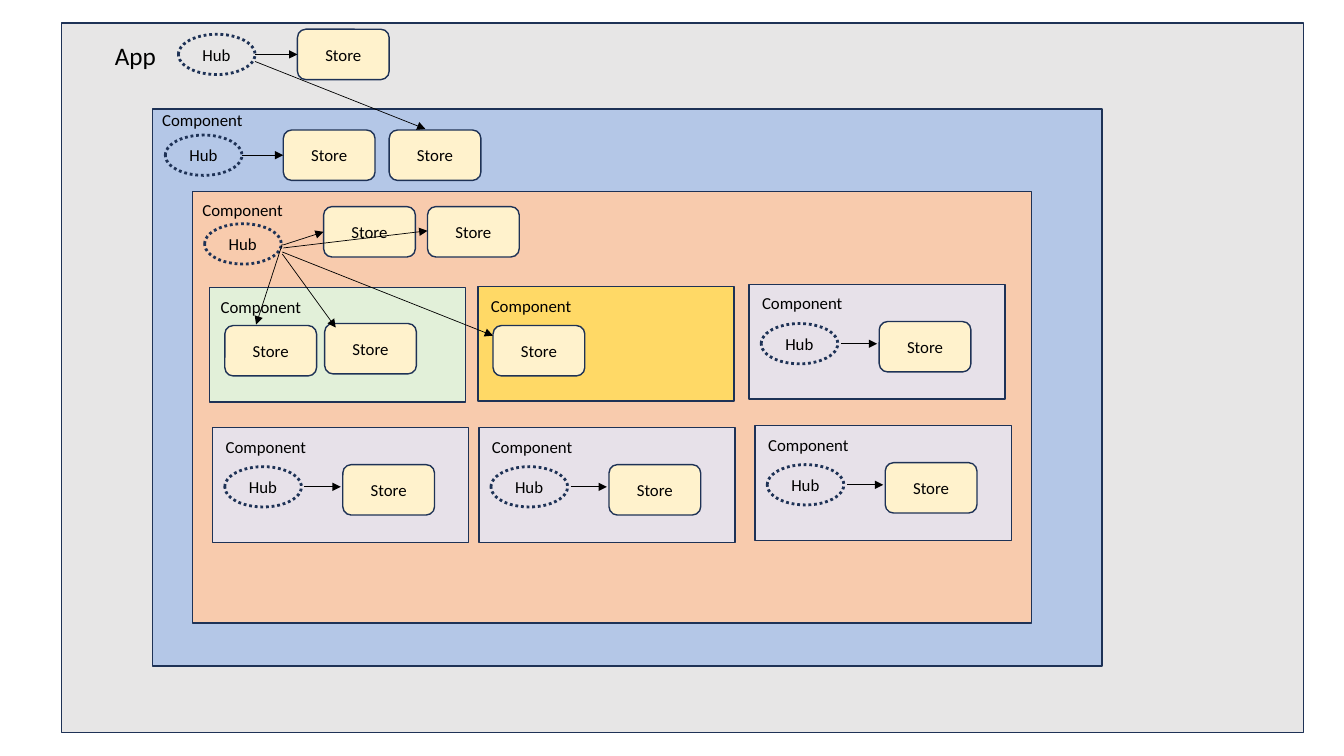
from typing import NamedTuple

from lxml import etree
from pptx import Presentation
from pptx.dml.color import RGBColor
from pptx.enum.dml import MSO_LINE
from pptx.enum.shapes import MSO_CONNECTOR, MSO_SHAPE
from pptx.enum.text import MSO_ANCHOR, PP_ALIGN
from pptx.oxml.ns import qn
from pptx.util import Inches, Pt

RECT = MSO_SHAPE.RECTANGLE
ROUND = MSO_SHAPE.ROUNDED_RECTANGLE
OVAL = MSO_SHAPE.OVAL
DOTS = MSO_LINE.ROUND_DOT
LINE = MSO_CONNECTOR.STRAIGHT
CENTER = PP_ALIGN.CENTER
MIDDLE = MSO_ANCHOR.MIDDLE

NAVY, BLACK, CREAM, LILAC = "1E3256", "000000", "FFF2CC", "E7E1E9"


class Panel(NamedTuple):
    x: float
    y: float
    wide: float
    high: float
    fill: str


class Label(NamedTuple):
    x: float
    y: float
    text: str = "Component"
    wide: float = 1.04
    high: float = 0.5
    size: int = 12


class Spot(NamedTuple):
    x: float
    y: float


class Arrow(NamedTuple):
    x1: float
    y1: float
    x2: float
    y2: float


PANELS = [
    Panel(0.61, 0.23, 12.32, 7.04, "E7E6E6"),
    Panel(1.51, 1.08, 9.42, 5.53, "B4C7E7"),
    Panel(1.91, 1.9, 8.32, 4.28, "F8CBAD"),
    Panel(2.08, 2.85, 2.54, 1.14, "E2F0D9"),
    Panel(4.74, 2.84, 2.54, 1.14, "FFD966"),
]
LABELS = [
    Label(1.04, 0.35, "App", 0.76, 0.4, 18),
    Label(1.51, 1.04),
    Label(1.91, 1.93),
    Label(2.09, 2.89),
    Label(4.77, 2.88),
]
HUBS = [Spot(1.77, 0.34), Spot(1.64, 1.34), Spot(2.03, 2.22)]
STORES = [
    Spot(2.95, 0.29),
    Spot(2.81, 1.29), Spot(3.86, 1.29),
    Spot(3.21, 2.05), Spot(4.24, 2.05),
    Spot(2.23, 3.23), Spot(3.22, 3.21), Spot(4.89, 3.23),
]
ARROWS = [
    Arrow(2.53, 0.54, 2.95, 0.54),
    Arrow(2.53, 0.61, 4.22, 1.28),
    Arrow(2.4, 1.54, 2.81, 1.54),
    Arrow(2.81, 2.43, 3.21, 2.3),
    Arrow(2.81, 2.46, 4.24, 2.29),
    Arrow(2.8, 2.42, 2.54, 3.22),
    Arrow(2.8, 2.52, 3.33, 3.25),
    Arrow(2.8, 2.5, 4.89, 3.33),
]
LEAVES = [Spot(7.43, 2.82), Spot(2.11, 4.24), Spot(4.75, 4.24), Spot(7.49, 4.22)]

deck = Presentation()
deck.slide_width, deck.slide_height = Inches(13.33), Inches(7.5)
slide = deck.slides.add_slide(deck.slide_layouts[6])


def color(code: str) -> RGBColor:
    return RGBColor.from_string(code)


def add_run(part, text: str, size: int = 12) -> None:
    run = part.add_run()
    run.text = text
    run.font.name = "Calibri"
    run.font.size = Pt(size)
    run.font.color.rgb = color(BLACK)


def draw_shape(kind, x: float, y: float, wide: float, high: float,
               fill: str = "", weight: float = 1):
    shape = slide.shapes.add_shape(kind, Inches(x), Inches(y), Inches(wide), Inches(high))
    shape.shadow.inherit = False
    if fill:
        shape.fill.solid()
        shape.fill.fore_color.rgb = color(fill)
    else:
        shape.fill.background()
    shape.line.color.rgb = color(NAVY)
    shape.line.width = Pt(weight)
    return shape


def draw_panel(panel: Panel) -> None:
    draw_shape(RECT, *panel)


def draw_label(label: Label) -> None:
    box = slide.shapes.add_textbox(
        Inches(label.x), Inches(label.y), Inches(label.wide), Inches(label.high))
    box.text_frame.word_wrap = True
    add_run(box.text_frame.paragraphs[0], label.text, label.size)


def draw_hub(spot: Spot) -> None:
    ring = draw_shape(OVAL, spot.x, spot.y, 0.76, 0.4, weight=2)
    ring.line.dash_style = DOTS
    draw_label(Label(spot.x + 0.14, spot.y + 0.05, "Hub", 0.56, 0.3))


def draw_store(spot: Spot) -> None:
    frame = draw_shape(ROUND, spot.x, spot.y, 0.91, 0.5, CREAM).text_frame
    frame.word_wrap = True
    frame.vertical_anchor = MIDDLE
    frame.paragraphs[0].alignment = CENTER
    add_run(frame.paragraphs[0], "Store")


def draw_arrow(arrow: Arrow) -> None:
    link = slide.shapes.add_connector(LINE, *(Inches(n) for n in arrow))
    link.line.color.rgb = color(BLACK)
    link.line.width = Pt(0.5)
    etree.SubElement(link.line._get_or_add_ln(), qn("a:tailEnd"), type="triangle")
    etree.SubElement(link._element.spPr, qn("a:effectLst"))


def draw_leaf(spot: Spot) -> None:
    x, y = spot
    draw_panel(Panel(x, y, 2.54, 1.14, LILAC))
    draw_label(Label(x + 0.03, y + 0.04))
    draw_hub(Spot(x + 0.12, y + 0.39))
    draw_store(Spot(x + 1.29, y + 0.37))
    draw_arrow(Arrow(x + 0.91, y + 0.59, x + 1.27, y + 0.59))


for draw, items in (
    (draw_panel, PANELS),
    (draw_label, LABELS),
    (draw_hub, HUBS),
    (draw_store, STORES),
    (draw_leaf, LEAVES),
    (draw_arrow, ARROWS),
):
    for item in items:
        draw(item)

deck.save("out.pptx")
